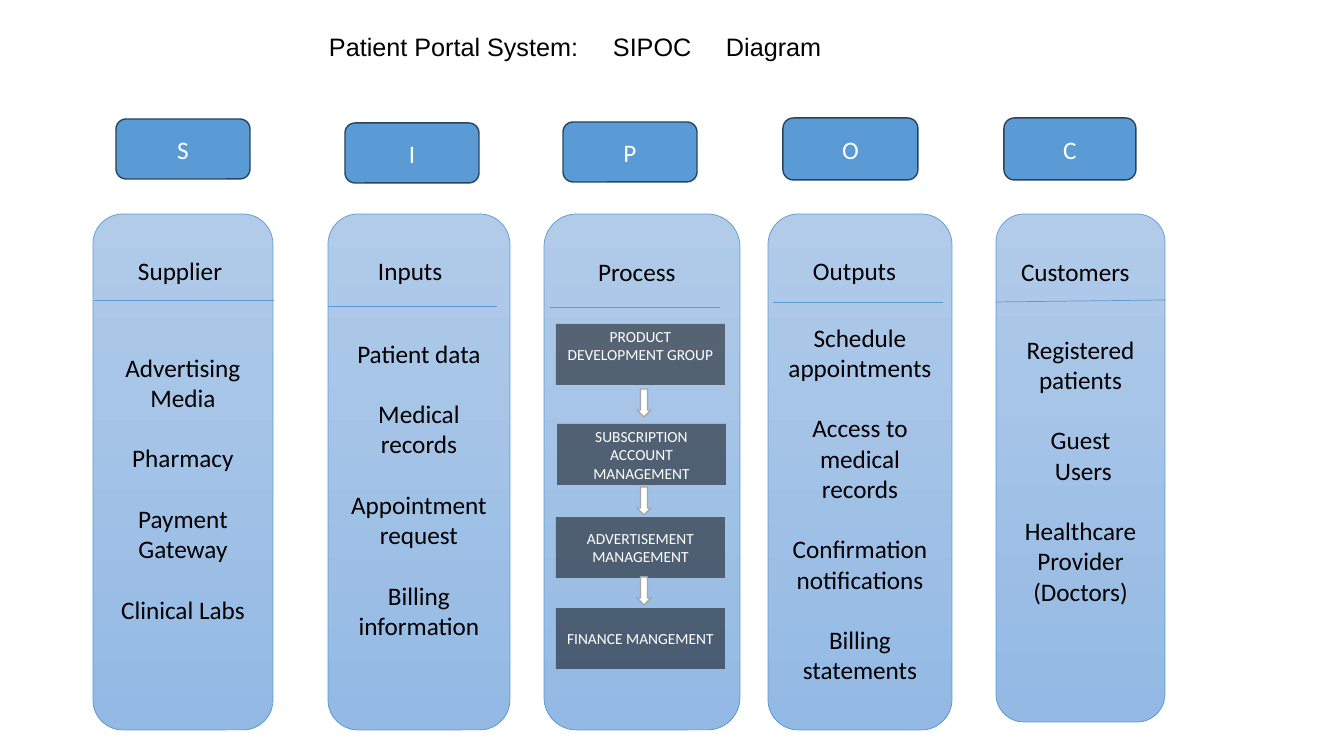
from lxml import etree
from pptx import Presentation, util as u
from pptx.dml.color import RGBColor
from pptx.enum import shapes, text
from pptx.oxml.ns import qn

HUES = {"blue": "5B9BD5", "navy": "28445D", "top": "B1CBE9", "base": "93B9E4",
        "black": "000000", "white": "FFFFFF", "gray": "A5A5A5"}
KIND = shapes.MSO_SHAPE
ALIGN = text.PP_ALIGN
ANCHOR = text.MSO_ANCHOR
GAP = 21.6  # one line of 18 pt text


def px(n):
    return u.Emu(round(n * 914400 / 100.8))


def hue(name):
    return RGBColor.from_string(HUES[name])


class Deck:
    def __init__(self, slide, font="Calibri"):
        self.slide, self.font = slide, font

    def fill_text(self, frame, lines, size=18, color="black",
                  align=ALIGN.CENTER, anchor=ANCHOR.MIDDLE, top=5, font=None):
        """Each entry is a group; newlines split it, a gap parts the groups."""
        frame.word_wrap = True
        frame.auto_size = text.MSO_AUTO_SIZE.NONE
        frame.vertical_anchor = anchor
        frame.margin_left = frame.margin_right = px(10)
        frame.margin_top, frame.margin_bottom = px(top), px(min(top, 5))
        para = None
        for group in lines:
            for i, line in enumerate(group.split("\n")):
                first = para is None
                para = frame.paragraphs[0] if first else frame.add_paragraph()
                para.alignment = align
                para.space_before = u.Pt(0 if first or i else GAP)
                run = para.add_run()
                run.text = line
                run.font.name = font or self.font
                run.font.size = u.Pt(size)
                run.font.color.rgb = hue(color)

    def title(self, words, box, stops):
        shape = self.slide.shapes.title
        shape.left, shape.top, shape.width, shape.height = map(px, box)
        self.fill_text(shape.text_frame, ["\t".join(words)], align=ALIGN.LEFT,
                       anchor=ANCHOR.TOP, font="Arial")
        props = shape.text_frame.paragraphs[0]._p.get_or_add_pPr()
        tabs = etree.SubElement(props, qn("a:tabLst"))
        for stop in stops:
            etree.SubElement(tabs, qn("a:tab"), pos=str(px(stop)), algn="l")

    def shape(self, kind, box, fill=None, line=None, width=1):
        shape = self.slide.shapes.add_shape(kind, *map(px, box))
        shape.shadow.inherit = False
        if fill:
            shape.fill.solid()
            shape.fill.fore_color.rgb = hue(fill)
        if line:
            shape.line.color.rgb = hue(line)
            shape.line.width = u.Pt(width)
        else:
            shape.line.fill.background()
        return shape

    def badge(self, word, box):
        shape = self.shape(KIND.ROUNDED_RECTANGLE, box, "blue", "navy")
        self.fill_text(shape.text_frame, [word], color="white")

    def panel(self, box, start, items):
        shape = self.shape(KIND.ROUNDED_RECTANGLE, box, line="blue", width=0.5)
        shape.fill.gradient()
        shape.fill.gradient_angle = 270
        for stop, name in zip(shape.fill.gradient_stops, ("top", "base")):
            stop.color.rgb = hue(name)
        if items:
            inset = box[2] / 6 * 0.29  # text area of a rounded corner
            self.fill_text(shape.text_frame, items, anchor=ANCHOR.TOP,
                           top=start - box[1] - inset)

    def label(self, word, box):
        frame = self.slide.shapes.add_textbox(*map(px, box)).text_frame
        self.fill_text(frame, [word], align=ALIGN.LEFT, anchor=ANCHOR.TOP)

    def rule(self, ends):
        line = self.slide.shapes.add_connector(
            shapes.MSO_CONNECTOR.STRAIGHT, *map(px, ends))
        line.line.color.rgb = hue("blue")
        line.line.width = u.Pt(0.5)
        etree.SubElement(line._element.spPr, qn("a:effectLst"))

    def step(self, words, box, anchor):
        shape = self.shape(KIND.RECTANGLE, box, "black")
        tint = shape._element.spPr.find(qn("a:solidFill"))[0]
        etree.SubElement(tint, qn("a:alpha"), val="50000")
        self.fill_text(shape.text_frame, [words], 11, "white",
                       anchor=anchor, top=3)


show = Presentation()
show.slide_width, show.slide_height = px(1344), px(756)
deck = Deck(show.slides.add_slide(show.slide_layouts[5]))

# Title
deck.title(["Patient Portal System:", "SIPOC", "Diagram"],
           (319, 26, 701, 40), (284, 397))

# Columns: badge, panel, rule, heading place, first line of list, list
columns = [
    ("Supplier", (116, 119, 134, 60), (93, 214, 180, 516),
     (94, 300, 274, 300), (128, 250), 352,
     ["Advertising Media", "Pharmacy", "Payment Gateway", "Clinical Labs"]),
    ("Inputs", (345, 123, 134, 60), (328, 214, 182, 516),
     (328, 306, 497, 306), (368, 250), 338,
     ["Patient data", "Medical records", "Appointment request",
      "Billing information"]),
    ("Process", (563, 122, 134, 60), (544, 214, 196, 516),
     (550, 307, 720, 307), (588, 251), 0, []),
    ("Outputs", (783, 118, 135, 62), (768, 214, 184, 516),
     (773, 302, 943, 302), (803, 250), 322,
     ["Schedule appointments", "Access to medical records",
      "Confirmation notifications", "Billing statements"]),
    ("Customers", (1004, 118, 132, 62), (996, 214, 169, 508),
     (996, 302, 1166, 300), (1011, 251), 334,
     ["Registered patients", "Guest\n Users",
      "Healthcare Provider\n(Doctors)"]),
]
for name, badge, panel, rule, spot, start, items in columns:
    deck.badge(name[0], badge)
    deck.panel(panel, start, items)
    deck.rule(rule)
    deck.label(name, (*spot, 144, 40))

# Process steps
steps = [("PRODUCT DEVELOPMENT GROUP", 556, 324, ANCHOR.TOP),
         ("SUBSCRIPTION ACCOUNT MANAGEMENT", 557, 424, ANCHOR.MIDDLE),
         ("ADVERTISEMENT MANAGEMENT", 556, 517, ANCHOR.MIDDLE),
         ("FINANCE MANGEMENT", 556, 608, ANCHOR.MIDDLE)]
for words, left, top, anchor in steps:
    deck.step(words, (left, top, 169, 61), anchor)

# Arrows between the steps
for top in (389, 487, 577):
    deck.shape(KIND.DOWN_ARROW, (637, top, 14, 28), "white", "gray")

show.save("out.pptx")
